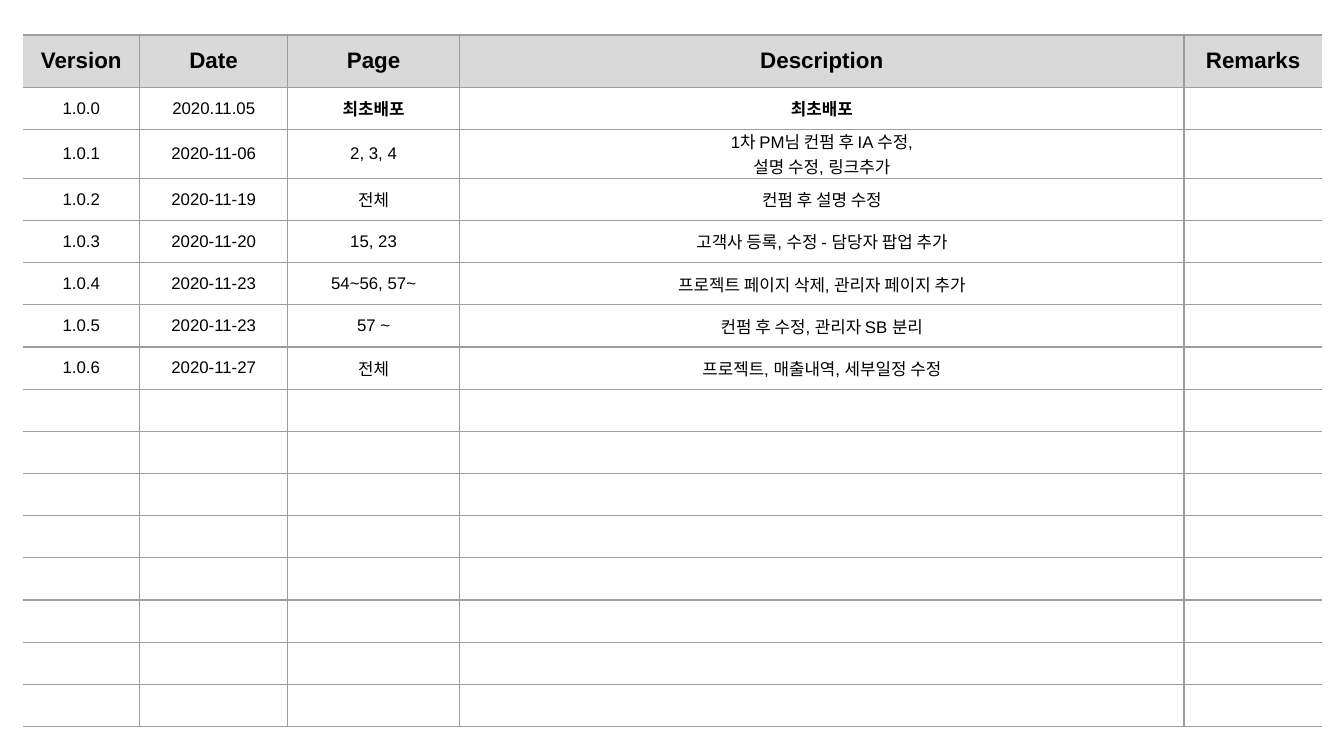
from lxml import etree
from pptx import Presentation
from pptx import util as u
from pptx.dml.color import RGBColor
from pptx.enum import text
from pptx.oxml.ns import qn

FONT = "Arial"
TEXT_COLOR = "000000"
HEADER_FILL = "D9D9D9"
BORDER_COLOR = "9E9E9E"
BORDER_WIDTH = u.Pt(0.75)

COLUMN_WIDTHS = [0.87, 1.1, 1.28, 5.39, 1.03]
HEADER_HEIGHT = u.Inches(0.39)
BODY_HEIGHT = u.Inches(4.71)
BODY_ROWS = 15

HEADINGS = ["Version", "Date", "Page", "Description", "Remarks"]
REVISIONS = [
    ["1.0.0", "2020.11.05", "최초배포", "최초배포"],
    ["1.0.1", "2020-11-06", "2, 3, 4", "1차 PM님 컨펌 후 IA 수정,\n설명 수정, 링크추가"],
    ["1.0.2", "2020-11-19", "전체", "컨펌 후 설명 수정"],
    ["1.0.3", "2020-11-20", "15, 23", "고객사 등록, 수정 - 담당자 팝업 추가"],
    ["1.0.4", "2020-11-23", "54~56, 57~", "프로젝트 페이지 삭제, 관리자 페이지 추가"],
    ["1.0.5", "2020-11-23", "57 ~", "컨펌 후 수정, 관리자 SB 분리"],
    ["1.0.6", "2020-11-27", "전체", "프로젝트, 매출내역, 세부일정 수정"],
]
FIRST_RELEASE = "최초배포"


def rgb(color):
    return RGBColor.from_string(color)


def set_borders(cell, visible_sides):
    """Draw the listed sides (L, R, T, B) and clear the others."""
    properties = cell._tc.get_or_add_tcPr()
    for side in "LRTB":
        line = etree.SubElement(properties, qn(f"a:ln{side}"), w=str(BORDER_WIDTH))
        if side in visible_sides:
            fill = etree.SubElement(line, qn("a:solidFill"))
            etree.SubElement(fill, qn("a:srgbClr"), val=BORDER_COLOR)
        else:
            etree.SubElement(line, qn("a:noFill"))


def set_fill(cell, color=None):
    if color:
        cell.fill.solid()
        cell.fill.fore_color.rgb = rgb(color)
    else:
        cell.fill.background()


def write_cell(cell, content, size, bold):
    cell.margin_left = cell.margin_right = cell.margin_top = cell.margin_bottom = 0
    cell.vertical_anchor = text.MSO_ANCHOR.MIDDLE
    cell.text = content
    for paragraph in cell.text_frame.paragraphs:
        paragraph.alignment = text.PP_ALIGN.CENTER
        paragraph.font.name = FONT
        paragraph.font.size = u.Pt(size)
        paragraph.font.bold = bold
        paragraph.font.color.rgb = rgb(TEXT_COLOR)


def add_revision_table(slide):
    column_count = len(COLUMN_WIDTHS)
    table = slide.shapes.add_table(
        BODY_ROWS + 1, column_count, u.Inches(0.17), u.Inches(0.26),
        u.Inches(sum(COLUMN_WIDTHS)), HEADER_HEIGHT + BODY_HEIGHT).table
    table.first_row = table.horz_banding = False

    # Grid sizes
    for column, width in zip(table.columns, COLUMN_WIDTHS):
        column.width = u.Inches(width)
    for index, row in enumerate(table.rows):
        row.height = HEADER_HEIGHT if index == 0 else BODY_HEIGHT // BODY_ROWS

    # Cells: the table is open on its left and right edges
    contents = [HEADINGS] + REVISIONS
    for row_index, row in enumerate(table.rows):
        is_header = row_index == 0
        values = contents[row_index] if row_index < len(contents) else []
        for column_index, cell in enumerate(row.cells):
            value = values[column_index] if column_index < len(values) else ""
            write_cell(cell, value, 12 if is_header else 9,
                       is_header or value == FIRST_RELEASE)
            sides = "TB"
            if column_index > 0:
                sides += "L"
            if column_index < column_count - 1:
                sides += "R"
            set_borders(cell, sides)
            set_fill(cell, HEADER_FILL if is_header else None)


def main():
    # Widescreen slide, 16:9
    presentation = Presentation()
    presentation.slide_width = u.Inches(10)
    presentation.slide_height = presentation.slide_width * 9 // 16
    slide = presentation.slides.add_slide(presentation.slide_layouts[6])
    add_revision_table(slide)
    presentation.save("out.pptx")


if __name__ == "__main__":
    main()
